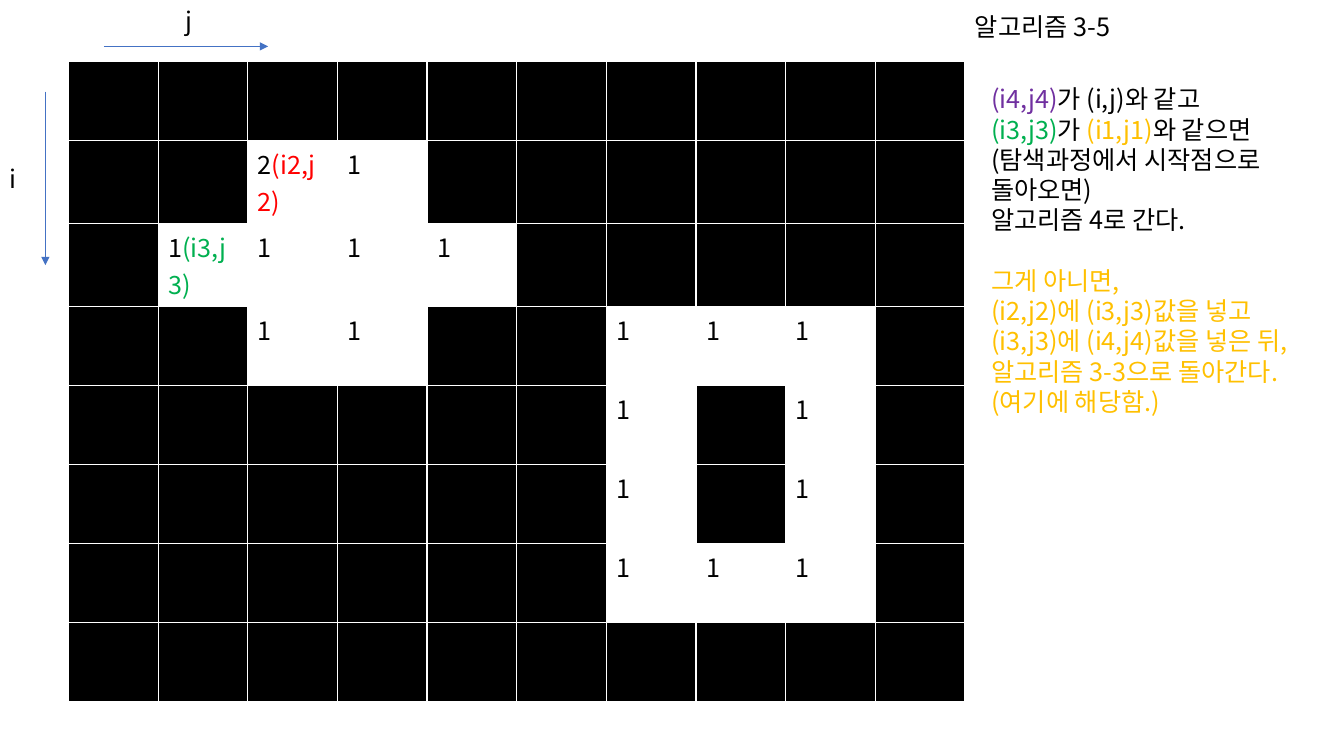
from lxml import etree
from pptx import Presentation
from pptx.dml.color import RGBColor
from pptx.enum.dml import MSO_LINE
from pptx.enum.shapes import MSO_CONNECTOR
from pptx.enum.text import MSO_ANCHOR, MSO_AUTO_SIZE, PP_ALIGN
from pptx.oxml.ns import qn
from pptx.util import Inches, Pt

STRAIGHT = MSO_CONNECTOR.STRAIGHT
SOLID = MSO_LINE.SOLID
TOP, LEFT = MSO_ANCHOR.TOP, PP_ALIGN.LEFT
NO_FIT = MSO_AUTO_SIZE.NONE

FONT = "Noto Sans CJK KR"
SIZE = 18
LINE = 21.6
BLACK, WHITE, BLUE = "000000", "FFFFFF", "4472C4"
RED, GREEN, GOLD, PURPLE = "FF0000", "00B050", "FFC000", "7030A0"

# "#" is background, "1" is a pixel of an object
GRID = [
    "##########",
    "##11######",
    "#1111#####",
    "##11##111#",
    "######1#1#",
    "######1#1#",
    "######111#",
    "##########",
]
MARKED = {
    (1, 2): [("2", BLACK), ("(i2,j2)", RED)],
    (2, 1): [("1", BLACK), ("(i3,j3)", GREEN)],
}
# Each group is a list of paragraphs, each paragraph a list of (text, colour)
STEPS = [
    [
        [("(i4,j4)", PURPLE), ("가 (i,j)와 같고", BLACK)],
        [("(i3,j3)", GREEN), ("가 ", BLACK), ("(i1,j1)", GOLD), ("와 같으면", BLACK)],
        [("(탐색과정에서 시작점으로", BLACK)],
        [("돌아오면)", BLACK)],
        [("알고리즘 4로 간다.", BLACK)],
    ],
    [
        [("그게 아니면,", GOLD)],
        [("(i2,j2)에 (i3,j3)값을 넣고", GOLD)],
        [("(i3,j3)에 (i4,j4)값을 넣은 뒤,", GOLD)],
        [("알고리즘 3-3으로 돌아간다.", GOLD)],
        [("(여기에 해당함.)", GOLD)],
    ],
]


def rgb(color):
    return RGBColor.from_string(color)


def add_run(p, text, color=BLACK, size=SIZE):
    r = p.add_run()
    r.text = text
    r.font.size = Pt(size)
    r.font.name = FONT
    r.font.bold = False
    r.font.color.rgb = rgb(color)
    etree.SubElement(r.font._element, qn("a:ea"), typeface=FONT)


def write(p, runs, before=0, line=LINE):
    """Fill a paragraph with coloured runs, without bullet or indent."""
    pPr = p._p.get_or_add_pPr()
    pPr.set("marL", "0")
    pPr.set("indent", "0")
    etree.SubElement(pPr, qn("a:buNone"))
    p.alignment = LEFT
    p.space_before = Pt(before)
    p.line_spacing = Pt(line)
    for text, color in runs:
        add_run(p, text, color)


def place(sp, x, y, w, h, wrap=True):
    """Move a text shape to its box and return its text frame."""
    sp.left, sp.top, sp.width, sp.height = map(Inches, (x, y, w, h))
    tf = sp.text_frame
    tf.word_wrap = wrap
    tf.auto_size = NO_FIT
    tf.vertical_anchor = TOP
    return tf


def add_borders(cell, color=WHITE, width=1):
    tcPr = cell._tc.get_or_add_tcPr()
    for i, side in enumerate(("a:lnL", "a:lnR", "a:lnT", "a:lnB")):
        ln = etree.Element(qn(side), w=str(Pt(width)))
        fill = etree.SubElement(ln, qn("a:solidFill"))
        etree.SubElement(fill, qn("a:srgbClr"), val=color)
        tcPr.insert(i, ln)


def add_pixel_grid(s, x, y, w, h):
    rows, cols = len(GRID), len(GRID[0])
    table = s.shapes.add_table(rows, cols, *map(Inches, (x, y, w, h))).table
    table.first_row = table.horz_banding = False
    for i, line in enumerate(GRID):
        for j, pixel in enumerate(line):
            cell = table.cell(i, j)
            cell.fill.solid()
            cell.fill.fore_color.rgb = rgb(BLACK if pixel == "#" else WHITE)
            add_borders(cell)
            if pixel != "#":
                for text, color in MARKED.get((i, j), [(pixel, BLACK)]):
                    add_run(cell.text_frame.paragraphs[0], text, color)


def add_arrow(s, x1, y1, x2, y2):
    c = s.shapes.add_connector(STRAIGHT, *map(Inches, (x1, y1, x2, y2)))
    c.line.color.rgb = rgb(BLUE)
    c.line.width = Pt(0.5)
    c.line.dash_style = SOLID
    etree.SubElement(c.line._ln, qn("a:tailEnd"), type="triangle")
    etree.SubElement(c._element.spPr, qn("a:effectLst"))


def add_label(s, text, x, y, w, h):
    sp = s.shapes.add_textbox(0, 0, 0, 0)
    write(place(sp, x, y, w, h).paragraphs[0], [(text, BLACK)])


def add_axes(s, x, y):
    """Draw the index arrows outside the grid corner at x, y."""
    add_arrow(s, x + 0.35, y - 0.15, x + 1.98, y - 0.15)
    add_arrow(s, x - 0.23, y + 0.3, x - 0.23, y + 2.02)
    add_label(s, "i", x - 0.68, y + 0.96, 0.32, 0.4)
    add_label(s, "j", x + 1.06, y - 0.61, 0.38, 0.4)


def add_explanation(s, x, y):
    title = place(s.shapes.title, x, y, 1.68, 0.4, wrap=False)
    write(title.paragraphs[0], [("알고리즘 3-5", BLACK)])
    tf = place(s.placeholders[1], x + 0.16, y + 0.72, 3.6, 3.43)
    p = tf.paragraphs[0]
    for g, group in enumerate(STEPS):
        for n, runs in enumerate(group):
            if g or n:
                p = tf.add_paragraph()
            write(p, runs, before=LINE if g and not n else 0)


def main():
    prs = Presentation()
    prs.slide_width, prs.slide_height = Inches(13.33), Inches(7.5)
    s = prs.slides.add_slide(prs.slide_layouts[1])
    add_pixel_grid(s, 0.68, 0.61, 8.89, 6.27)
    add_axes(s, 0.68, 0.61)
    add_explanation(s, 9.57, 0.06)
    prs.save("out.pptx")


if __name__ == "__main__":
    main()
